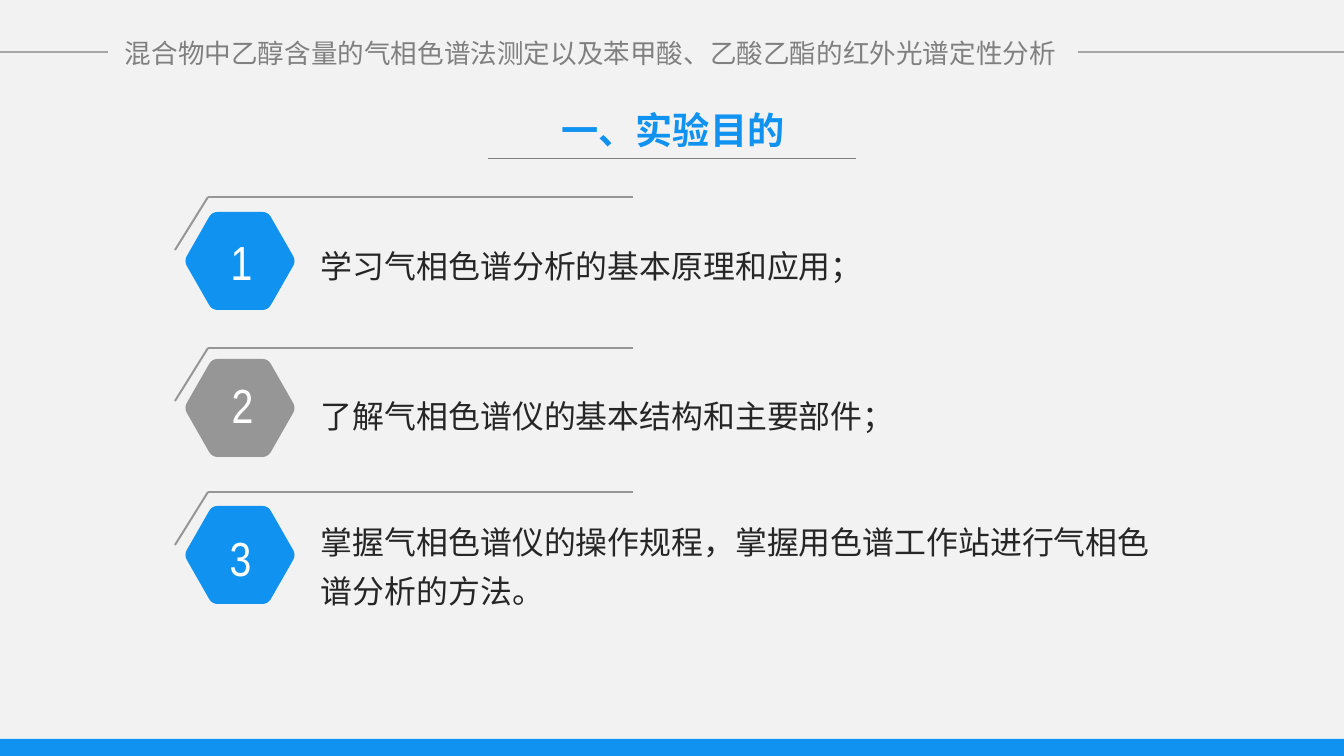
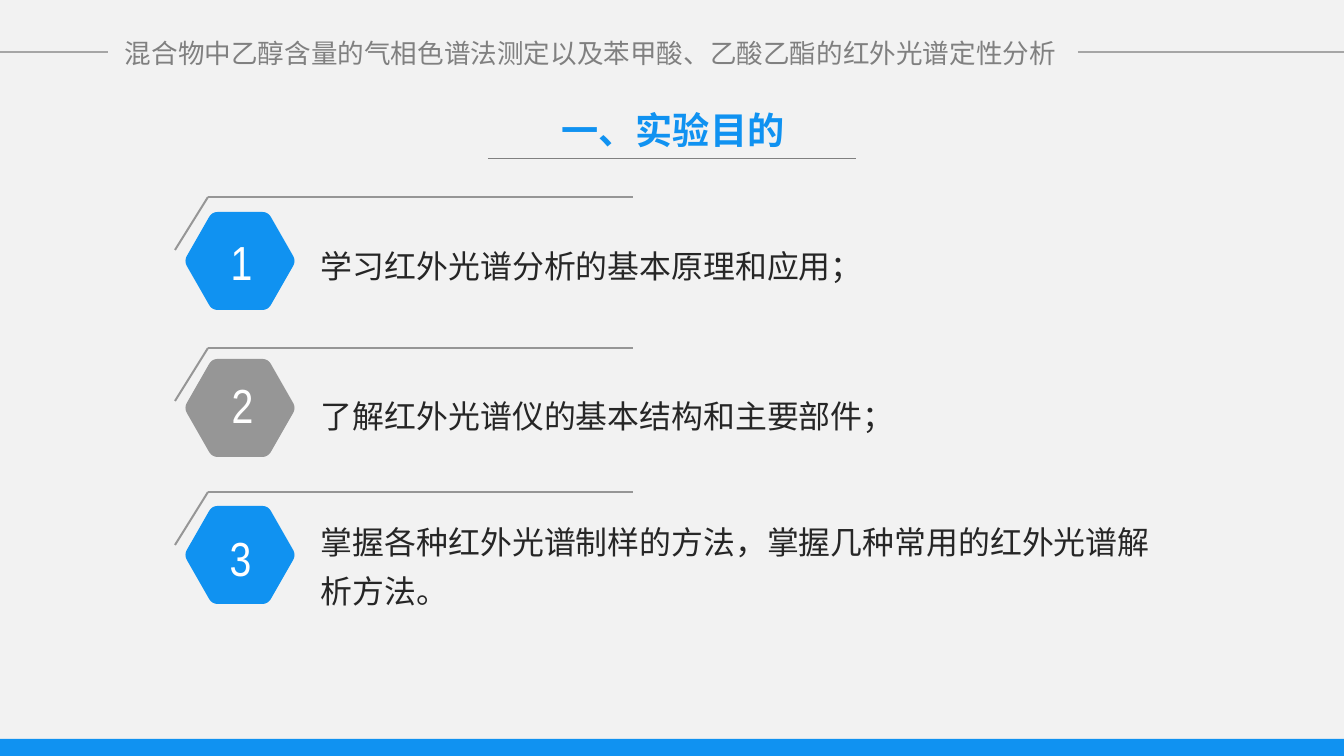
from pptx import Presentation
from pptx.dml.color import RGBColor
from pptx.enum.shapes import MSO_CONNECTOR, MSO_SHAPE
from pptx.enum.text import MSO_ANCHOR, MSO_AUTO_SIZE, PP_ALIGN
from pptx.oxml import parse_xml
from pptx.oxml.ns import nsdecls
from pptx.util import Pt

EMU_PER_PX = 9565
WIDTH, HEIGHT = 1344, 756

BLUE = RGBColor(0x10, 0x92, 0xF1)
GRAY = RGBColor(0x96, 0x96, 0x96)
HEADER_GRAY = RGBColor(0x80, 0x80, 0x80)
HEADER_LINE = RGBColor(0xA6, 0xA6, 0xA6)
INK = RGBColor(0x26, 0x26, 0x26)
WHITE = RGBColor(0xFF, 0xFF, 0xFF)
PAPER = RGBColor(0xF2, 0xF2, 0xF2)

SERIF = "Times New Roman"
HEADER = "混合物中乙醇含量的气相色谱法测定以及苯甲酸、乙酸乙酯的红外光谱定性分析"
TITLE = "一、实验目的"

HEXAGON = [(27, 0), (83, 0), (111, 49), (83, 98), (27, 98), (-1, 49)]
CORNER_CUT = 6
CURVE_STEPS = 6

# For each row: bracket y, hexagon y, number x and y, text y, text height, colour
ROWS = [
    (197, 212, 204, 228, 235, 51, BLUE),
    (348, 359, 205, 371, 385, 51, GRAY),
    (492, 506, 203, 524, 511, 100, BLUE),
]

SLIDES = [
    [
        "学习气相色谱分析的基本原理和应用；",
        "了解气相色谱仪的基本结构和主要部件；",
        "掌握气相色谱仪的操作规程，掌握用色谱工作站进行气相色谱分析的方法。",
    ],
    [
        "学习红外光谱分析的基本原理和应用；",
        "了解红外光谱仪的基本结构和主要部件；",
        "掌握各种红外光谱制样的方法，掌握几种常用的红外光谱解析方法。",
    ],
]


def px(*lengths):
    return [round(n * EMU_PER_PX) for n in lengths]


def toward(a, b, distance):
    """Point on the way from a to b, at the given distance from a."""
    dx, dy = b[0] - a[0], b[1] - a[1]
    t = distance / (dx * dx + dy * dy) ** 0.5
    return a[0] + dx * t, a[1] + dy * t


def round_corners(corners):
    """Outline points with each corner replaced by a quadratic curve."""
    points = []
    for i, corner in enumerate(corners):
        start = toward(corner, corners[i - 1], CORNER_CUT)
        end = toward(corner, corners[(i + 1) % len(corners)], CORNER_CUT)
        for step in range(CURVE_STEPS + 1):
            t = step / CURVE_STEPS
            points.append(tuple(
                (1 - t) ** 2 * a + 2 * t * (1 - t) * b + t * t * c
                for a, b, c in zip(start, corner, end)))
    return points


class Deck:
    def __init__(self):
        self.prs = Presentation()
        self.prs.slide_width, self.prs.slide_height = px(WIDTH, HEIGHT)
        self.layout = self.prs.slide_layouts[5]
        fill = self.prs.slide_master.background.fill
        fill.solid()
        fill.fore_color.rgb = PAPER
        self.s = None

    def add_slide(self, title):
        self.s = self.prs.slides.add_slide(self.layout)
        sp = self.s.shapes.title
        sp.left, sp.top, sp.width, sp.height = px(530, 107, 286, 45)
        self.set_text(sp, title, SERIF, 28, BLUE, PP_ALIGN.CENTER, bold=True)
        self.line(488, 159, 856, 159, HEADER_GRAY, 0.75)

    def set_text(self, sp, text, font, size, color, align,
                 bold=False, spacing=None, inset=0, anchor=MSO_ANCHOR.TOP):
        tf = sp.text_frame
        tf.text = text
        tf.word_wrap = True
        tf.auto_size = MSO_AUTO_SIZE.NONE
        tf.vertical_anchor = anchor
        tf.margin_left = tf.margin_right = px(inset)[0]
        tf.margin_top = tf.margin_bottom = px(inset / 2)[0]
        p = tf.paragraphs[0]
        p.alignment = align
        if spacing:
            p.line_spacing = spacing
        f = p.runs[0].font
        f.name, f.size, f.bold = font, Pt(size), bold
        f.color.rgb = color

    def text(self, x, y, w, h, *style, **options):
        sp = self.s.shapes.add_textbox(*px(x, y, w, h))
        self.set_text(sp, *style, **options)
        return sp

    def line(self, x1, y1, x2, y2, color, width):
        cxn = self.s.shapes.add_connector(
            MSO_CONNECTOR.STRAIGHT, *px(x1, y1, x2, y2))
        cxn.line.color.rgb = color
        cxn.line.width = Pt(width)
        cxn.element.spPr.append(
            parse_xml(f"<a:effectLst {nsdecls('a')}/>"))
        return cxn

    def paint(self, sp, color):
        sp.shadow.inherit = False
        sp.fill.solid()
        sp.fill.fore_color.rgb = color
        sp.line.fill.background()
        return sp

    def band(self, x, y, w, h, color):
        return self.paint(self.s.shapes.add_shape(
            MSO_SHAPE.RECTANGLE, *px(x, y, w, h)), color)

    def hexagon(self, x, y, color):
        points = [px(x + dx, y + dy) for dx, dy in round_corners(HEXAGON)]
        builder = self.s.shapes.build_freeform(*points[0])
        builder.add_line_segments(points[1:])
        self.paint(builder.convert_to_shape(), color)

    def goal(self, number, text, row):
        bracket_y, hex_y, num_x, num_y, text_y, text_h, color = row
        self.hexagon(185, hex_y, color)
        self.text(num_x, num_y, 75, 68, str(number), "Arial Narrow", 36,
                  WHITE, PP_ALIGN.CENTER, inset=10)
        self.text(321, text_y, 832, text_h, text, SERIF, 24, INK,
                  PP_ALIGN.LEFT, spacing=1.3)
        self.line(175, bracket_y + 53, 208, bracket_y, GRAY, 1.5)
        self.line(208, bracket_y, 633, bracket_y, GRAY, 1.5)

    def frame_layout(self):
        """Draw the shared header and band, then move them to the layout."""
        shared = [
            self.band(0, 739, WIDTH, HEIGHT - 739, BLUE),
            self.text(103, 36, 975, 33, HEADER, "Arial", 20, HEADER_GRAY,
                      PP_ALIGN.CENTER, anchor=MSO_ANCHOR.MIDDLE),
            self.line(0, 52, 108, 52, HEADER_LINE, 1),
            self.line(1078, 52, WIDTH, 52, HEADER_LINE, 1),
        ]
        for sp in shared:
            self.layout.shapes.element.append(sp.element)


def main():
    deck = Deck()
    for goals in SLIDES:
        deck.add_slide(TITLE)
        for number, (text, row) in enumerate(zip(goals, ROWS), 1):
            deck.goal(number, text, row)
    deck.frame_layout()
    deck.prs.save("out.pptx")


if __name__ == "__main__":
    main()
